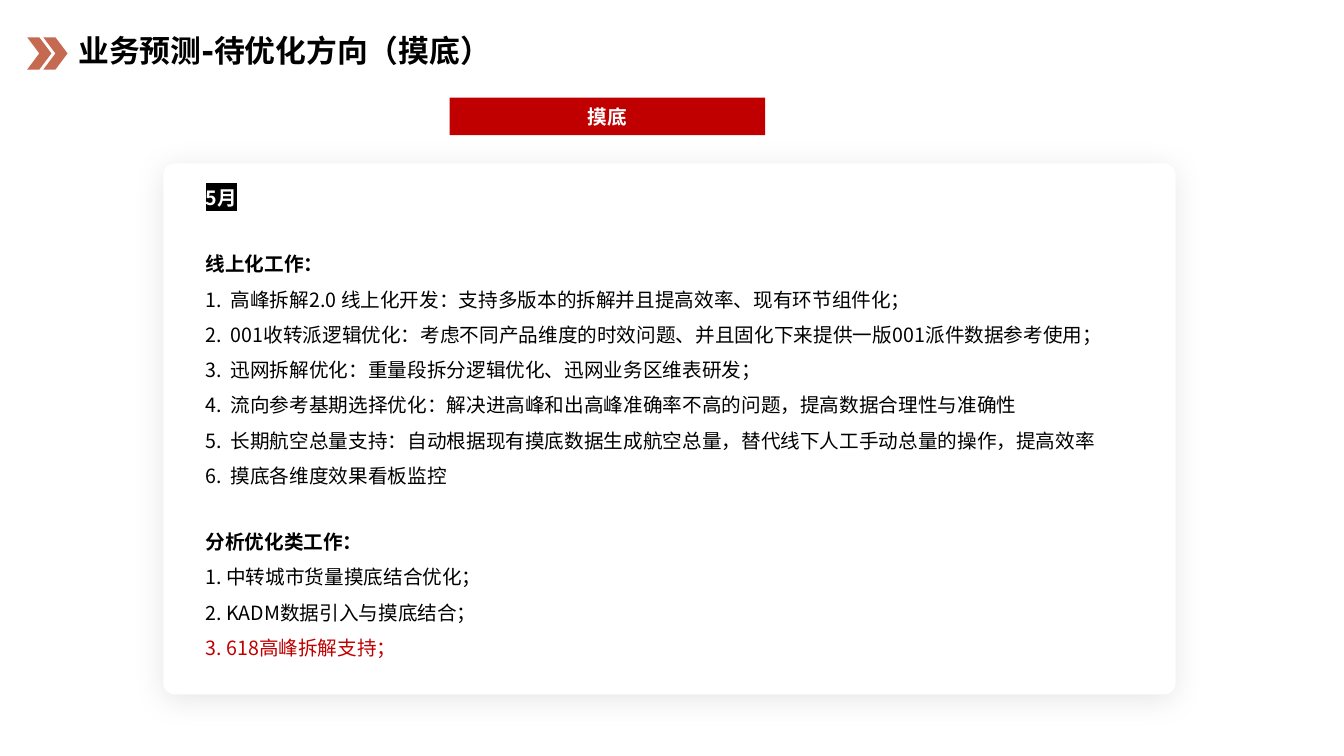
from dataclasses import dataclass

from lxml.etree import SubElement
from pptx import Presentation
from pptx.dml.color import RGBColor
from pptx.enum.shapes import MSO_SHAPE
from pptx.enum.text import MSO_ANCHOR, PP_ALIGN
from pptx.oxml.ns import qn
from pptx.shapes.autoshape import Shape
from pptx.slide import Slide
from pptx.text.text import TextFrame, _Paragraph, _Run
from pptx.util import Inches, Pt

BLACK = RGBColor(0x00, 0x00, 0x00)
WHITE = RGBColor(0xFF, 0xFF, 0xFF)
RED = RGBColor(0xC0, 0x00, 0x00)
TERRACOTTA = RGBColor(0xC6, 0x69, 0x51)
BODY_FONT = "Noto Sans CJK SC"
TITLE_FONT = "DejaVu Sans"


@dataclass(frozen=True)
class Box:
    left: float
    top: float
    width: float
    height: float

    def lengths(self) -> tuple[Inches, Inches, Inches, Inches]:
        return (Inches(self.left), Inches(self.top),
                Inches(self.width), Inches(self.height))


@dataclass(frozen=True)
class Line:
    text: str
    bold: bool = False
    color: RGBColor = BLACK
    numbered: bool = False
    gap_before: float = 0
    highlighted: bool = False


PLAN = [
    Line("5月", bold=True, color=WHITE, highlighted=True),
    Line("线上化工作：", bold=True, gap_before=22),
    Line("高峰拆解2.0 线上化开发：支持多版本的拆解并且提高效率、现有环节组件化；", numbered=True),
    Line("001收转派逻辑优化：考虑不同产品维度的时效问题、并且固化下来提供一版001派件数据参考使用；",
         numbered=True),
    Line("迅网拆解优化：重量段拆分逻辑优化、迅网业务区维表研发；", numbered=True),
    Line("流向参考基期选择优化：解决进高峰和出高峰准确率不高的问题，提高数据合理性与准确性",
         numbered=True),
    Line("长期航空总量支持：自动根据现有摸底数据生成航空总量，替代线下人工手动总量的操作，提高效率",
         numbered=True),
    Line("摸底各维度效果看板监控", numbered=True),
    Line("分析优化类工作：", bold=True, gap_before=22),
    Line("1. 中转城市货量摸底结合优化；"),
    Line("2. KADM数据引入与摸底结合；"),
    Line("3. 618高峰拆解支持；", color=RED),
]


def add_run(paragraph: _Paragraph, text: str, size: float, color: RGBColor,
            bold: bool = False, font: str = BODY_FONT) -> _Run:
    run = paragraph.add_run()
    run.text = text
    run.font.size = Pt(size)
    run.font.bold = bold
    run.font.color.rgb = color
    run.font.name = font
    SubElement(run.font._element, qn("a:ea"), typeface=font)
    return run


def add_filled(slide: Slide, preset: MSO_SHAPE, box: Box, color: RGBColor) -> Shape:
    shape = slide.shapes.add_shape(preset, *box.lengths())
    shape.shadow.inherit = False
    shape.fill.solid()
    shape.fill.fore_color.rgb = color
    shape.line.fill.background()
    return shape


def add_text_area(slide: Slide, box: Box) -> TextFrame:
    frame = slide.shapes.add_textbox(*box.lengths()).text_frame
    frame.word_wrap = True
    return frame


def add_soft_shadow(shape: Shape) -> None:
    effects = shape._element.spPr.find(qn("a:effectLst"))
    shadow = SubElement(effects, qn("a:outerShdw"), blurRad=str(Pt(22.3)),
                        dist=str(Pt(4)), dir="5400000", algn="t", rotWithShape="0")
    tint = SubElement(shadow, qn("a:srgbClr"), val=str(BLACK))
    SubElement(tint, qn("a:alpha"), val="10000")


def highlight(run: _Run, color: RGBColor) -> None:
    mark = SubElement(run.font._element, qn("a:highlight"))
    SubElement(mark, qn("a:srgbClr"), val=str(color))
    # The schema wants the highlight ahead of the typefaces
    run.font._element.find(qn("a:latin")).addprevious(mark)


def number(paragraph: _Paragraph) -> None:
    properties = paragraph._p.get_or_add_pPr()
    properties.set("marL", str(Inches(0.25)))
    properties.set("indent", str(Inches(-0.25)))
    SubElement(properties, qn("a:buFont"), typeface=BODY_FONT)
    SubElement(properties, qn("a:buAutoNum"), type="arabicPeriod")


def write_line(paragraph: _Paragraph, line: Line) -> None:
    paragraph.line_spacing = 1.5
    if line.gap_before:
        paragraph.space_before = Pt(line.gap_before)
    if line.numbered:
        number(paragraph)
    run = add_run(paragraph, line.text, 14, line.color, line.bold)
    if line.highlighted:
        highlight(run, BLACK)


def main() -> None:
    deck = Presentation()
    deck.slide_width, deck.slide_height = Inches(13.33), Inches(7.5)
    slide = deck.slides.add_slide(deck.slide_layouts[6])

    # Title with its double chevron
    title = add_text_area(slide, Box(0.68, 0.27, 4.36, 0.47))
    add_run(title.paragraphs[0], "业务预测-待优化方向（摸底）", 22, BLACK, True, TITLE_FONT)
    for left in (0.27, 0.43):
        add_filled(slide, MSO_SHAPE.CHEVRON, Box(left, 0.37, 0.24, 0.32), TERRACOTTA)

    # Card behind the plan
    card = add_filled(slide, MSO_SHAPE.ROUNDED_RECTANGLE,
                      Box(1.62, 1.62, 10.04, 5.27), WHITE)
    card.adjustments[0] = 0.022
    add_soft_shadow(card)

    # Section banner
    banner = add_filled(slide, MSO_SHAPE.RECTANGLE, Box(4.46, 0.97, 3.13, 0.37), RED)
    banner.text_frame.vertical_anchor = MSO_ANCHOR.MIDDLE
    heading = banner.text_frame.paragraphs[0]
    heading.alignment = PP_ALIGN.CENTER
    add_run(heading, "摸底", 14, WHITE, True)

    # Plan for the month
    plan = add_text_area(slide, Box(1.94, 1.64, 9.53, 5))
    plan.margin_top = Inches(0.09)
    for index, line in enumerate(PLAN):
        write_line(plan.add_paragraph() if index else plan.paragraphs[0], line)

    deck.save("out.pptx")


if __name__ == "__main__":
    main()
